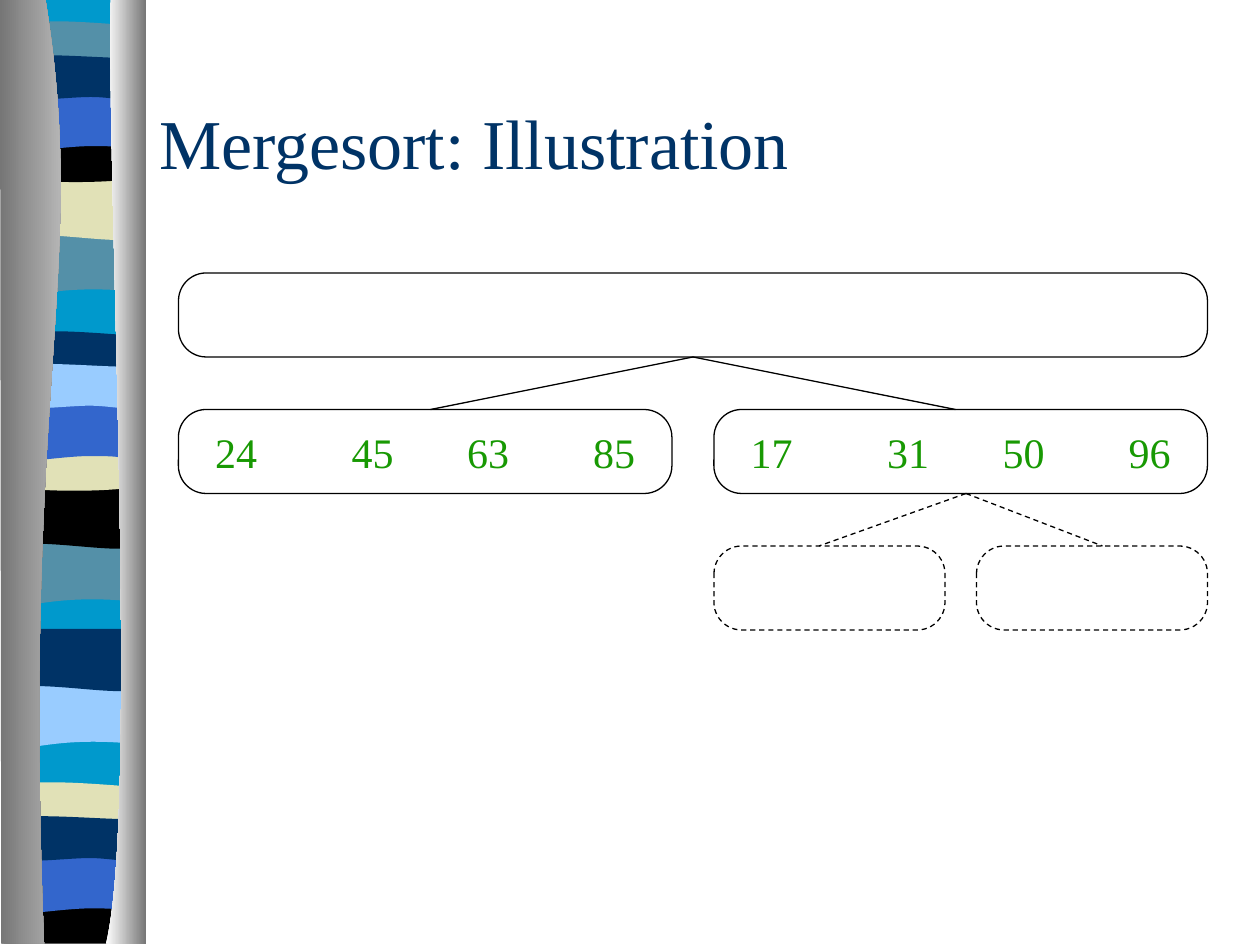
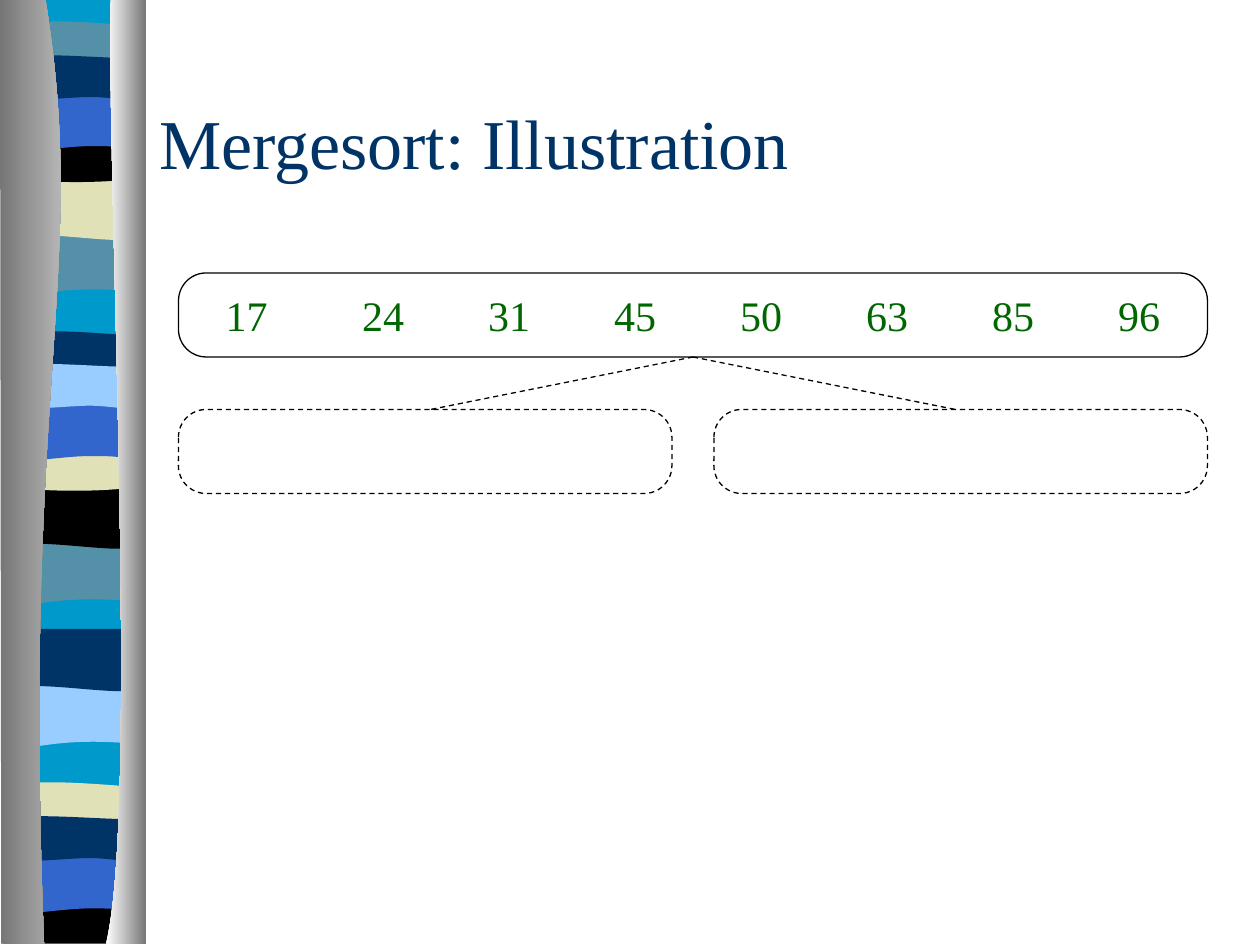
from typing import NamedTuple

import lxml.etree
import pptx
import pptx.dml.color
import pptx.enum.dml
import pptx.enum.shapes
import pptx.enum.text
import pptx.oxml.ns
import pptx.shapes.group
import pptx.slide
import pptx.util

Inches = pptx.util.Inches
qn = pptx.oxml.ns.qn
Outline = list[tuple[float, ...]]

COLORS = {
    "navy": "003366", "azure": "0099CC", "steel": "5490A8", "sand": "E1E1B7",
    "blue": "3366CC", "sky": "99CCFF", "black": "000000", "white": "FFFFFF",
    "gray": "767676", "silver": "D3D3D3", "green": "189903", "forest": "006600",
}
FONT = "Times New Roman"

# The tree lies on a grid of twelfths of an inch.
TREE_TOP = 26
LEVEL_PITCH = 13
BOX_HEIGHT = 8

# Each outline is a start point, then line ends (x, y) or curves (x1, y1, x2, y2, x, y).
BAND_OUTLINES: dict[str, Outline] = {
    "wave": [(1.08, 0), (1.08, 0.47), (0.33, 0.39, 0.18, 0.55, 0, 0.47), (0, 0)],
    "swell": [(1.08, 0), (1.08, 0.47), (0.9, 0.55, 0.33, 0.41, 0, 0.47), (0, 0)],
    "ribbon": [(1.08, 0), (1.08, 0.24), (0.9, 0.28, 0.18, 0.28, 0, 0.24), (0, 0),
               (0.06, -0.05, 0.23, -0.04, 0.41, -0.04), (0.59, -0.04, 0.94, -0.01, 1.08, 0)],
    "bowl": [(1.08, 0), (1.08, 0.32), (0.9, 0.38, 0.18, 0.38, 0, 0.32), (0, 0),
             (0.66, 0.05, 0.85, 0, 1.08, 0)],
    "arch": [(1.08, 0), (1.08, 0.47), (0.91, 0.42, 0.84, 0.42, 0.66, 0.42),
             (0.48, 0.42, 0.16, 0.47, 0, 0.47), (0, 0)],
    "strip": [(1.08, 0), (1.08, 0.31), (1.01, 0.36, 0.84, 0.31, 0.66, 0.31),
              (0.48, 0.31, 0.11, 0.36, 0, 0.31), (0, 0),
              (0.15, -0.05, 0.73, 0, 0.91, 0), (1.09, 0, 1.04, 0, 1.08, 0)],
    "floor": [(1.08, 0), (1.08, 0.37), (0.01, 0.37), (0, 0), (0.66, 0.05, 0.85, 0, 1.08, 0)],
    "base": [(1.08, 0), (1.08, 7.48), (0, 7.48), (0, 0)],
}
LEFT_PANEL: Outline = [(0.36, -0.01), (0.71, 2.16, 0.17, 2.96, 0.35, 7.49),
                       (0.01, 7.49), (0, -0.01)]
RIGHT_PANEL: Outline = [(0.88, -0.01), (0.84, 1.25, 1.11, 6.46, 0.84, 7.49),
                        (1.16, 7.49), (1.16, 0)]


class Band(NamedTuple):
    outline: str
    top: float
    color: str
    left: float = 0.06


class Node(NamedTuple):
    left: int
    level: int
    width: int
    text: str = ""
    color: str = "green"
    dashed: bool = False


class Fork(NamedTuple):
    apex: int
    level: int
    ends: tuple[int, int]
    dashed: bool = False


BANDS = [
    Band("base", -0.01, "azure"),
    Band("wave", 1.85, "steel"),
    Band("swell", 1.41, "sand"),
    Band("ribbon", 0.21, "steel"),
    Band("bowl", 1.08, "black"),
    Band("arch", 0.74, "blue"),
    Band("strip", 0.46, "navy"),
    Band("wave", 4.31, "steel", 0.05),
    Band("swell", 3.86, "black", 0.05),
    Band("ribbon", 2.67, "navy", 0.05),
    Band("bowl", 3.53, "sand", 0.05),
    Band("arch", 3.2, "blue", 0.05),
    Band("strip", 2.91, "sky", 0.05),
    Band("wave", 5.44, "sky"),
    Band("swell", 4.99, "navy"),
    Band("ribbon", 6.25, "sand", 0.05),
    Band("floor", 7.12, "black", 0.05),
    Band("arch", 6.79, "blue", 0.05),
    Band("strip", 6.5, "navy", 0.05),
]

MERGE_STEPS: list[tuple[list[Node], list[Fork]]] = [
    (
        [
            Node(17, 0, 98),
            Node(17, 1, 47, "24\t 45\t63\t85"),
            Node(68, 1, 47, "17\t 31\t50\t96"),
            Node(68, 2, 22, dashed=True),
            Node(93, 2, 22, dashed=True),
        ],
        [Fork(66, 0, (41, 91)), Fork(92, 1, (78, 105), dashed=True)],
    ),
    (
        [
            Node(17, 0, 98, "17\t 24\t 31\t 45\t 50\t 63\t 85\t 96", "forest"),
            Node(17, 1, 47, dashed=True),
            Node(68, 1, 47, dashed=True),
        ],
        [Fork(66, 0, (41, 91), dashed=True)],
    ),
]


def rgb(color: str) -> pptx.dml.color.RGBColor:
    return pptx.dml.color.RGBColor.from_string(COLORS[color])


def twelfths(count: int) -> pptx.util.Length:
    return Inches(count / 12)


def level_top(level: int) -> int:
    return TREE_TOP + LEVEL_PITCH * level


def bend_curves(shape, outline: Outline) -> None:
    """Join the three lines that stand for each curve into one cubic segment."""
    lines = iter(list(shape._element.iter(qn("a:lnTo"))))
    for segment in outline[1:]:
        first = next(lines)
        if len(segment) == 2:
            continue
        curve = lxml.etree.Element(qn("a:cubicBezTo"))
        first.addprevious(curve)
        for line in (first, next(lines), next(lines)):
            curve.append(line[0])
            line.getparent().remove(line)


def draw_outline(border: pptx.shapes.group.GroupShape, outline: Outline, colors: list[str],
                 left: float = 0, top: float = 0) -> None:
    """Fill an outline with one colour, or with a left-to-right gradient of two."""
    points = [
        (Inches(left + x), Inches(top + y))
        for segment in outline for x, y in zip(segment[::2], segment[1::2])
    ]
    builder = border.shapes.build_freeform(*points[0])
    builder.add_line_segments(points[1:])
    shape = builder.convert_to_shape()
    bend_curves(shape, outline)
    shape.shadow.inherit = False
    shape.line.fill.background()
    if len(colors) == 1:
        shape.fill.solid()
        shape.fill.fore_color.rgb = rgb(colors[0])
        return
    shape.fill.gradient()
    shape.fill.gradient_angle = 0
    for stop, color in zip(shape.fill.gradient_stops, colors):
        stop.color.rgb = rgb(color)


def write_text(shape, text: str, *, size: int, color: str, centered: bool = False,
               wrap: bool = True, tab_stops: int = 0) -> None:
    frame = shape.text_frame
    frame.word_wrap = wrap
    frame.vertical_anchor = pptx.enum.text.MSO_ANCHOR.MIDDLE
    para = frame.paragraphs[0]
    align = pptx.enum.text.PP_ALIGN
    para.alignment = align.CENTER if centered else align.LEFT
    span = para.add_run()
    span.text = text
    span.font.name = FONT
    span.font.size = pptx.util.Pt(size)
    span.font.color.rgb = rgb(color)
    if tab_stops:
        tabs = lxml.etree.SubElement(para._p.get_or_add_pPr(), qn("a:tabLst"))
        for position in range(tab_stops):
            lxml.etree.SubElement(tabs, qn("a:tab"), pos=str(Inches(position)), algn="l")


def style_line(line, dashed: bool) -> None:
    line.color.rgb = rgb("black")
    line.width = pptx.util.Pt(0.75)
    if dashed:
        line.dash_style = pptx.enum.dml.MSO_LINE.DASH


def draw_node(page: pptx.slide.Slide, node: Node) -> None:
    box = page.shapes.add_shape(
        pptx.enum.shapes.MSO_SHAPE.ROUNDED_RECTANGLE, twelfths(node.left),
        twelfths(level_top(node.level)), twelfths(node.width), twelfths(BOX_HEIGHT))
    box.adjustments[0] = 0.33
    box.shadow.inherit = False
    box.fill.solid()
    box.fill.fore_color.rgb = rgb("white")
    style_line(box.line, node.dashed)
    if node.text:
        write_text(box, node.text, size=24, color=node.color, centered=True,
                   wrap=False, tab_stops=8)


def draw_fork(page: pptx.slide.Slide, fork: Fork) -> None:
    for end in fork.ends:
        branch = page.shapes.add_connector(
            pptx.enum.shapes.MSO_CONNECTOR.STRAIGHT,
            twelfths(fork.apex), twelfths(level_top(fork.level) + BOX_HEIGHT),
            twelfths(end), twelfths(level_top(fork.level + 1)))
        style_line(branch.line, fork.dashed)
        lxml.etree.SubElement(branch._element.spPr, qn("a:effectLst"))


def add_page(deck) -> pptx.slide.Slide:
    """Add a slide with the striped side border and the title."""
    page = deck.slides.add_slide(deck.slide_layouts[6])
    border = page.shapes.add_group_shape()
    for band in BANDS:
        draw_outline(border, BAND_OUTLINES[band.outline], [band.color], band.left, band.top)
    draw_outline(border, LEFT_PANEL, ["gray", "silver"])
    draw_outline(border, RIGHT_PANEL, ["white", "gray"])
    title = page.shapes.add_textbox(twelfths(14), Inches(0.5), Inches(8.5), Inches(1.25))
    write_text(title, "Mergesort: Illustration", size=40, color="navy")
    return page


def main() -> None:
    deck = pptx.Presentation()
    deck.slide_width, deck.slide_height = Inches(10), Inches(7.5)
    for nodes, forks in MERGE_STEPS:
        page = add_page(deck)
        for node in nodes:
            draw_node(page, node)
        for fork in forks:
            draw_fork(page, fork)
    deck.save("out.pptx")


if __name__ == "__main__":
    main()
